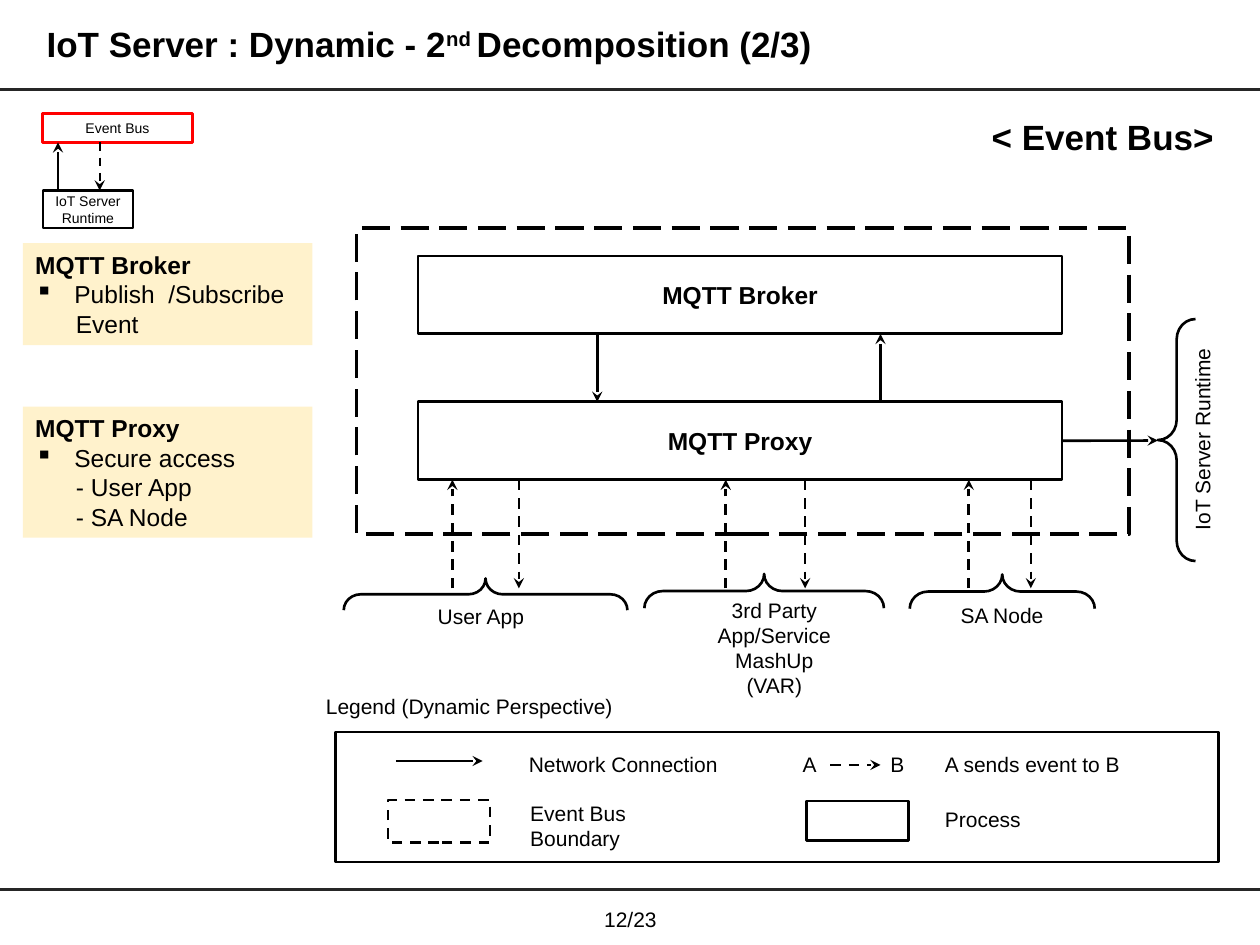
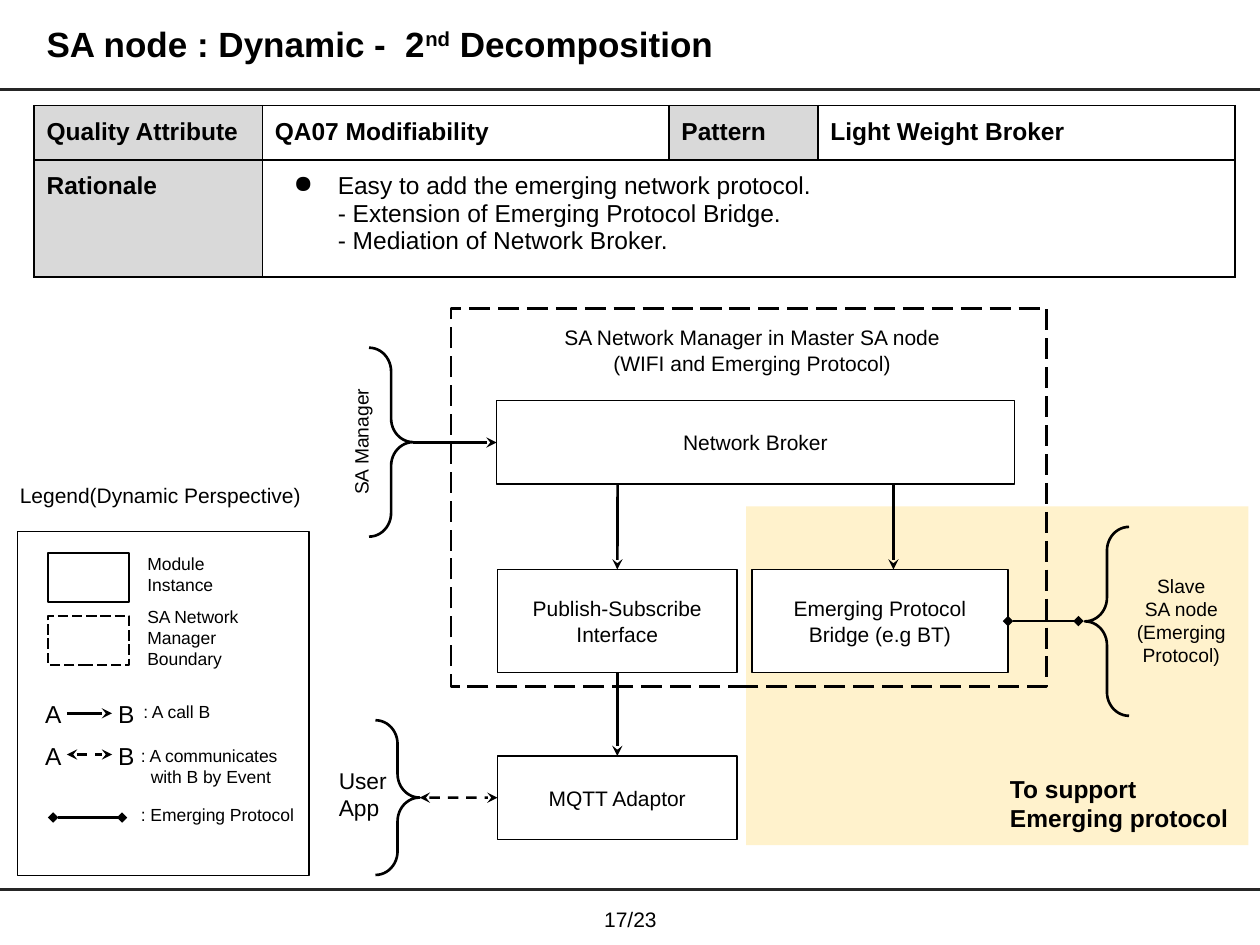
from dataclasses import dataclass
from functools import partial
from typing import Any

from lxml.etree import SubElement
from pptx import Presentation
from pptx.dml.color import RGBColor
from pptx.enum.dml import MSO_LINE as Dash
from pptx.enum.shapes import MSO_CONNECTOR as Connector, MSO_SHAPE as Preset
from pptx.enum.text import MSO_ANCHOR as Anchor, PP_ALIGN as Align
from pptx.oxml import parse_xml
from pptx.oxml.ns import nsdecls, qn
from pptx.util import Cm, Pt


@dataclass(frozen=True)
class Theme:
    font: str = "Arial"
    black: str = "000000"
    white: str = "FFFFFF"
    red: str = "FF0000"
    band: str = "262626"
    note: str = "FFF2CC"
    header: str = "D9D9D9"
    title_size: int = 20
    heading_size: int = 14
    caption_size: int = 13
    body_size: int = 12
    side_size: int = 11
    legend_size: int = 10
    mini_size: int = 8
    inset: float = 0.25


THEME = Theme()
TOP, LEFT, BOTTOM, RIGHT = range(4)


@dataclass
class Para:
    runs: Any
    indent: float = 0
    hang: float = 0
    bullet: str = ""
    bold: Any = None
    spacing: Any = None


@dataclass
class Box:
    frame: tuple
    text: tuple = ()
    name: str = ""
    size: int = THEME.body_size
    bold: bool = False
    align: Any = Align.CENTER
    anchor: Any = Anchor.MIDDLE
    fill: Any = THEME.white
    line: Any = THEME.black
    weight: float = 1.5
    dash: Any = None
    upright: bool = False


@dataclass
class Arrow:
    start: Any
    end: Any
    head: str = ""
    tail: str = "stealth"
    dash: Any = None
    weight: float = 1.5
    color: str = THEME.black


Label = partial(Box, line=None)
Text = partial(Box, fill=None, line=None, align=Align.LEFT, anchor=Anchor.TOP)
Note = partial(Box, fill=THEME.note, line=None, size=THEME.heading_size, align=Align.LEFT)
Thin = partial(Box, weight=0.75)
Event = partial(Arrow, dash=Dash.DASH)
Heading = partial(Box, fill=None, line=None, size=THEME.title_size, bold=True)
NoteLine = partial(Para, indent=0.82, bold=False)
NoteBullet = partial(Para, indent=0.79, hang=0.79, bullet="▪", bold=False)
LegendText = partial(Text, size=THEME.legend_size)
Letter = partial(Text, size=THEME.heading_size)

EVENT_BUS = dict(
    title=(("IoT Server : Dynamic - 2", 0), ("nd ", 30000), ("Decomposition (2/3)", 0)),
    page="12/23",
    boxes=[
        Label((6.1, 11.58, 7.19, 1.68), ("User App",)),
        Label((13.92, 12.12, 3.38, 1.88), ("3rd Party App/Service MashUp", "(VAR)")),
        Label((18.64, 11.61, 3.12, 1.57), ("SA Node",)),
        Label((23.76, 6.39, 0.94, 4.93), ("IoT Server Runtime",), upright=True),
        Box((6.76, 14.76, 17.81, 2.62), fill=None),
        Box((7.19, 4.6, 15.57, 6.17), fill=None, weight=2, dash=Dash.LONG_DASH),
        Box((8.43, 5.16, 12.98, 1.57), ("MQTT Broker",), size=THEME.heading_size, bold=True),
        Box((8.43, 8.1, 12.98, 1.57), ("MQTT Proxy",), "proxy", THEME.heading_size, True),
        Box((7.82, 16.13, 2.06, 0.86), dash=Dash.DASH),
        Box((16.26, 16.15, 2.06, 0.79)),
        Box((0.86, 3.84, 1.83, 0.76), ("IoT Server Runtime",), size=THEME.mini_size, weight=1.25),
        Box((0.86, 2.29, 3.02, 0.58), ("Event Bus",), size=THEME.mini_size, line=THEME.red),
        Note((0.46, 4.9, 5.84, 2.06), (
            Para("MQTT Broker", bold=True), NoteBullet("Publish  /Subscribe"), NoteLine("Event"))),
        Note((0.46, 8.2, 5.84, 2.64), (
            Para("MQTT Proxy", bold=True), NoteBullet("Secure access"),
            NoteLine("- User App"), NoteLine("- SA Node"))),
    ],
    braces=[
        ((6.93, 11.66, 5.72, 0.64), 270),
        ((12.99, 11.57, 4.83, 0.69), 270),
        ((18.34, 11.58, 3.73, 0.69), 270),
        ((23.34, 6.43, 0.76, 4.88), 180),
    ],
    arrows=[
        *(Event((x, 11.86), (x, 9.67)) for x in (9.12, 14.63, 19.53)),
        *(Event((x, 9.67), (x, 11.86)) for x in (10.46, 16.23, 20.78)),
        Arrow(("proxy", RIGHT), (23.34, 8.88)),
        Arrow((12.04, 6.73), (12.04, 8.1)),
        Arrow((17.75, 8.1), (17.75, 6.73)),
        Arrow((7.98, 15.34), (9.73, 15.34)),
        Event((16.74, 15.42), (17.75, 15.42)),
        Event((2.01, 2.87), (2.01, 3.84), weight=1.25),
        Arrow((1.17, 3.84), (1.17, 2.87), weight=1.25),
    ],
    texts=[
        Heading((16.97, 2.13, 7.75, 1.35), (Para("< Event Bus>", spacing=0.9),), align=Align.RIGHT),
        Text((6.32, 13.74, 7.92, 0.74), ("Legend (Dynamic Perspective)",)),
        Text((10.41, 14.91, 5.51, 0.86), ("Network Connection",)),
        Text((10.44, 15.88, 5.51, 0.86), ("Event Bus", "Boundary")),
        Text((15.93, 14.91, 0.81, 0.86), ("A",)),
        Text((17.7, 14.91, 0.81, 0.86), ("B",)),
        Text((18.8, 14.91, 5.18, 0.86), ("A sends event to B",)),
        Text((18.8, 16, 4.42, 0.86), ("Process",)),
    ],
)

SA_NODE = dict(
    title=(("SA node : Dynamic -  2", 0), ("nd", 30000), (" Decomposition", 0)),
    page="17/23",
    boxes=[
        Note((15.04, 10.21, 10.13, 6.83), (
            Para("To support", indent=5.07), Para("Emerging protocol", indent=5.07)),
            bold=True, anchor=Anchor.BOTTOM),
        Thin((0.36, 10.72, 5.87, 6.93)),
        Thin((0.97, 11.15, 1.63, 0.99)),
        Thin((0.97, 12.42, 1.63, 0.99), dash=Dash.LONG_DASH),
        Label((6.83, 6.76, 0.89, 4.29), ("SA Manager",), size=THEME.side_size, upright=True),
        Box((9.09, 6.22, 12.01, 7.62), fill=None, dash=Dash.LONG_DASH),
        Thin((10.01, 8.08, 10.44, 1.68), ("Network Broker",), "broker"),
        Thin((10.03, 11.48, 4.83, 2.08), ("Publish-Subscribe", "Interface"), "interface"),
        Thin((15.16, 11.48, 5.16, 2.08), ("Emerging Protocol", "Bridge (e.g BT)"), "bridge"),
        Thin((10.03, 15.24, 4.83, 1.68), ("MQTT Adaptor",), "adaptor"),
    ],
    braces=[
        ((7.44, 7.01, 0.89, 3.81), 0),
        ((7.57, 14.52, 0.89, 3.12), 0),
        ((21.87, 10.62, 0.89, 3.81), 180),
    ],
    arrows=[
        Arrow((8.33, 8.92), ("broker", LEFT)),
        Arrow((12.45, 9.76), ("interface", TOP)),
        Arrow((18.01, 9.76), (18.01, 11.48)),
        Arrow(("interface", BOTTOM), ("adaptor", TOP)),
        Event((8.46, 16.08), ("adaptor", LEFT), head="stealth"),
        Arrow(("bridge", RIGHT), (21.74, 12.52), head="diamond", tail="diamond"),
        Arrow((1.35, 14.38), (2.26, 14.38)),
        Event((1.35, 15.21), (2.26, 15.21), head="stealth"),
        Arrow((1.07, 16.48), (2.46, 16.48), head="diamond", tail="diamond"),
    ],
    texts=[
        Text((9.6, 6.3, 11.13, 2.18), (
            "SA Network Manager in Master SA node", "(WIFI and Emerging Protocol)"), align=Align.CENTER),
        Text((22.33, 10.85, 2.97, 3.3), ("Slave", "SA node", "(Emerging Protocol)"),
             size=THEME.side_size, align=Align.CENTER, anchor=Anchor.MIDDLE),
        Text((6.58, 14.35, 1.93, 3.3), ("User App",), size=THEME.caption_size, anchor=Anchor.MIDDLE),
        Text((0.15, 9.47, 7.44, 1.09), ("Legend(Dynamic Perspective)",)),
        *(Letter((x, y, 0.81, 0.69), (letter,))
          for y in (13.84, 14.68) for x, letter in ((0.66, "A"), (2.13, "B"))),
        LegendText((2.72, 10.9, 2.4, 0.58), ("Module", "Instance")),
        LegendText((2.72, 11.96, 2.69, 0.58), ("SA Network Manager Boundary",)),
        LegendText((2.64, 13.92, 3.91, 0.69), (": A call B",)),
        LegendText((2.59, 14.76, 4.5, 0.69), (": A communicates", Para("with B by Event", indent=0.2))),
        LegendText((2.59, 16, 4.14, 0.58), (": Emerging Protocol",)),
    ],
)

TABLE_ORIGIN = (0.69, 2.13)
TABLE_COLUMNS = (4.6, 8.2, 3, 8.41)
TABLE_ROWS = (1.09, 2.36)
RATIONALE = (
    Para("Easy to add the emerging network protocol.", 1.27, 0.89, "●", False),
    Para("- Extension of Emerging Protocol Bridge.", 1.27, bold=False),
    Para("- Mediation of Network Broker.", 1.27, bold=False),
)
TABLE_CELLS = (
    (("Quality Attribute",), ("QA07 Modifiability",), ("Pattern",), ("Light Weight Broker",)),
    (("Rationale",), RATIONALE, (), ()),
)
HEADER_CELLS = {(0, 0), (0, 2), (1, 0)}


def write_text(frame, paragraphs, size, bold=False, align=Align.LEFT):
    for index, item in enumerate(paragraphs):
        para = item if isinstance(item, Para) else Para(item)
        paragraph = frame.paragraphs[0] if index == 0 else frame.add_paragraph()
        paragraph.alignment = align
        if para.spacing:
            paragraph.line_spacing = para.spacing
        properties = paragraph._p.get_or_add_pPr()
        if para.indent:
            properties.set("marL", str(Cm(para.indent)))
            properties.set("indent", str(-Cm(para.hang)))
        if para.bullet:
            SubElement(properties, qn("a:buChar"), char=para.bullet)
        runs = ((para.runs, 0),) if isinstance(para.runs, str) else para.runs
        for words, baseline in runs:
            run = paragraph.add_run()
            run.text = words
            run.font.name = THEME.font
            run.font.size = Pt(size)
            run.font.bold = bold if para.bold is None else para.bold
            run.font.color.rgb = RGBColor.from_string(THEME.black)
            if baseline:
                run._r.get_or_add_rPr().set("baseline", str(baseline))


def set_margins(target):
    target.margin_left = target.margin_right = Cm(THEME.inset)
    target.margin_top = target.margin_bottom = Cm(THEME.inset)


def style_line(line, color, weight, dash=None):
    line.color.rgb = RGBColor.from_string(color)
    line.width = Pt(weight)
    if dash:
        line.dash_style = dash


def turned_frame(frame, turn):
    left, top, width, height = frame
    if turn in (90, 270):
        shift = (width - height) / 2
        left, top, width, height = left + shift, top - shift, height, width
    return [Cm(value) for value in (left, top, width, height)]


def add_box(slide, box):
    turn = 270 if box.upright else 0
    place = turned_frame(box.frame, turn)
    if box.fill or box.line:
        shape = slide.shapes.add_shape(Preset.RECTANGLE, *place)
        shape.shadow.inherit = False
        if box.fill:
            shape.fill.solid()
            shape.fill.fore_color.rgb = RGBColor.from_string(box.fill)
        else:
            shape.fill.background()
        if box.line:
            style_line(shape.line, box.line, box.weight, box.dash)
        else:
            shape.line.fill.background()
    else:
        shape = slide.shapes.add_textbox(*place)
    shape.rotation = turn
    frame = shape.text_frame
    frame.word_wrap = True
    frame.vertical_anchor = box.anchor
    set_margins(frame)
    write_text(frame, box.text, box.size, box.bold, box.align)
    return shape


def add_brace(slide, frame, turn):
    brace = slide.shapes.add_shape(Preset.RIGHT_BRACE, *turned_frame(frame, turn))
    brace.rotation = turn
    brace.adjustments[0] = 0.536
    brace.shadow.inherit = False
    brace.fill.background()
    style_line(brace.line, THEME.black, 1.5)


def add_arrow(slide, arrow, shapes):
    joined = [isinstance(end[0], str) for end in (arrow.start, arrow.end)]
    points = [(0, 0) if join else end for join, end in zip(joined, (arrow.start, arrow.end))]
    connector = slide.shapes.add_connector(Connector.STRAIGHT, *(Cm(v) for point in points for v in point))
    if joined[0]:
        connector.begin_connect(shapes[arrow.start[0]], arrow.start[1])
    if joined[1]:
        connector.end_connect(shapes[arrow.end[0]], arrow.end[1])
    style_line(connector.line, arrow.color, arrow.weight, arrow.dash)
    for tag, kind in (("a:headEnd", arrow.head), ("a:tailEnd", arrow.tail)):
        if kind:
            SubElement(connector.line._get_or_add_ln(), qn(tag), type=kind)
    SubElement(connector._element.spPr, qn("a:effectLst"))


def add_quality_table(slide):
    size = (sum(TABLE_COLUMNS), sum(TABLE_ROWS))
    table = slide.shapes.add_table(
        len(TABLE_ROWS), len(TABLE_COLUMNS), *(Cm(v) for v in TABLE_ORIGIN + size)).table
    table.first_row = table.horz_banding = False
    for column, width in zip(table.columns, TABLE_COLUMNS):
        column.width = Cm(width)
    for row, height in zip(table.rows, TABLE_ROWS):
        row.height = Cm(height)
    table.cell(1, 1).merge(table.cell(1, 3))
    for row, contents in enumerate(TABLE_CELLS):
        for column, paragraphs in enumerate(contents):
            cell = table.cell(row, column)
            set_margins(cell)
            cell.fill.solid()
            fill = THEME.header if (row, column) in HEADER_CELLS else THEME.white
            cell.fill.fore_color.rgb = RGBColor.from_string(fill)
            for index, side in enumerate("LRTB"):
                cell._tc.get_or_add_tcPr().insert(index, parse_xml(
                    f'<a:ln{side} {nsdecls("a")} w="{Pt(1)}"><a:solidFill>'
                    f'<a:srgbClr val="{THEME.black}"/></a:solidFill></a:ln{side}>'))
            write_text(cell.text_frame, paragraphs, THEME.heading_size, bold=True)


def add_slide(presentation, content):
    slide = presentation.slides.add_slide(presentation.slide_layouts[6])
    for y in (1.8, 17.93):
        add_arrow(slide, Arrow((0, y), (25.4, y), tail="", weight=1.75, color=THEME.band), {})
    title = Para(content["title"], spacing=0.9)
    add_box(slide, Heading((0.69, 0.25, 21.64, 1.35), (title,), align=Align.LEFT))
    shapes = {box.name: add_box(slide, box) for box in content["boxes"]}
    for frame, turn in content["braces"]:
        add_brace(slide, frame, turn)
    for arrow in content["arrows"]:
        add_arrow(slide, arrow, shapes)
    for text in content["texts"]:
        add_box(slide, text)
    add_box(slide, Text((11.73, 18.14, 1.96, 0.79), (content["page"],),
                        align=Align.CENTER, anchor=Anchor.MIDDLE))
    return slide


def main():
    presentation = Presentation()
    presentation.slide_width, presentation.slide_height = Cm(25.4), Cm(19.05)
    add_slide(presentation, EVENT_BUS)
    add_quality_table(add_slide(presentation, SA_NODE))
    presentation.save("out.pptx")


if __name__ == "__main__":
    main()
